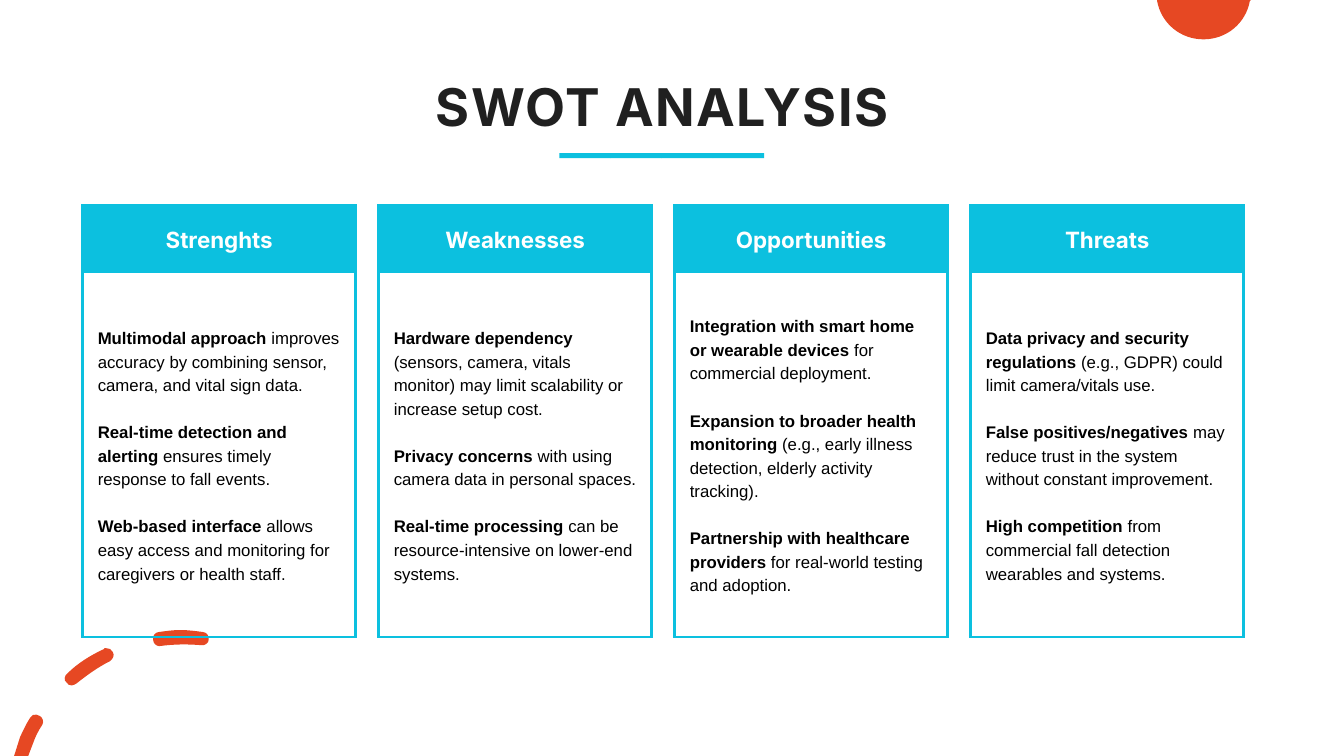
from dataclasses import dataclass

from pptx import Presentation, util as u
from pptx.dml.color import RGBColor
from pptx.enum import shapes, text
from pptx.oxml import parse_xml
from pptx.oxml.ns import nsdecls, qn

PX = 9144
CYAN = RGBColor(0x0C, 0xC0, 0xDF)
ORANGE = RGBColor(0xE6, 0x48, 0x23)
INK = RGBColor(0x20, 0x20, 0x20)
BLACK = RGBColor(0, 0, 0)
WHITE = RGBColor(255, 255, 255)


@dataclass(frozen=True)
class Point:
    lead: str
    rest: str


@dataclass(frozen=True)
class Card:
    head: str
    points: tuple[Point, ...]


@dataclass(frozen=True)
class Contour:
    start: tuple[int, int]
    steps: tuple[tuple[int, ...], ...]


CARDS = (
    Card("Strenghts", (
        Point("Multimodal approach", " improves accuracy by combining sensor, camera, and vital sign data."),
        Point("Real-time detection and alerting", " ensures timely response to fall events."),
        Point("Web-based interface", " allows easy access and monitoring for caregivers or health staff."),
    )),
    Card("Weaknesses", (
        Point("Hardware dependency", " (sensors, camera, vitals monitor) may limit scalability or increase setup cost."),
        Point("Privacy concerns", " with using camera data in personal spaces."),
        Point("Real-time processing", " can be resource-intensive on lower-end systems."),
    )),
    Card("Opportunities", (
        Point("Integration with smart home or wearable devices", " for commercial deployment."),
        Point("Expansion to broader health monitoring",
              " (e.g., early illness detection, elderly activity tracking)."),
        Point("Partnership with healthcare providers", " for real-world testing and adoption."),
    )),
    Card("Threats", (
        Point("Data privacy and security regulations", " (e.g., GDPR) could limit camera/vitals use."),
        Point("False positives/negatives", " may reduce trust in the system without constant improvement."),
        Point("High competition", " from commercial fall detection wearables and systems."),
    )),
)

DISC = (
    Contour((1148, 0), ((1241, 0), (1240, 1), (1236, 23, 1217, 39, 1194, 39),
                        (1171, 39, 1152, 23, 1148, 1))),
)
DASHES = (
    Contour((36, 709), ((34, 708, 31, 710, 30, 712), (26, 718, 23, 725, 20, 731),
                        (14, 750), (28, 750), (33, 737), (35, 731, 38, 725, 42, 719),
                        (44, 716, 42, 711, 39, 710), (38, 709, 37, 709, 36, 709))),
    Contour((105, 643), ((104, 643, 103, 643, 103, 644), (90, 650, 77, 658, 67, 668),
                         (64, 670, 63, 675, 66, 677), (67, 679, 69, 680, 71, 680),
                         (73, 680, 74, 679, 76, 678), (86, 670, 97, 662, 109, 656),
                         (112, 654, 114, 650, 112, 647), (111, 644, 108, 643, 105, 643))),
    Contour((179, 625), ((172, 625, 165, 626, 158, 627), (154, 627, 151, 631, 152, 635),
                         (152, 638, 155, 641, 158, 641), (173, 639, 186, 639, 199, 640),
                         (203, 641, 207, 638, 207, 635), (208, 631, 205, 627, 201, 627),
                         (194, 626, 186, 625, 179, 625))),
)


def px(n: float) -> u.Emu:
    return u.Emu(round(n * PX))


def paint(shape, color: RGBColor) -> None:
    shape.fill.solid()
    shape.fill.fore_color.rgb = color
    shape.line.fill.background()
    shape.shadow.inherit = False


def bend(shape, steps: list[tuple[int, ...]]) -> None:
    lines = list(shape._element.iter(qn("a:lnTo")))
    for line, step in zip(lines, steps):
        if len(step) == 2:
            continue
        dots = "".join(
            f'<a:pt x="{px(x) - shape.left}" y="{px(y) - shape.top}"/>'
            for x, y in zip(step[::2], step[1::2]))
        curve = parse_xml(f'<a:cubicBezTo {nsdecls("a")}>{dots}</a:cubicBezTo>')
        line.getparent().replace(line, curve)


def draw(slide, outline: tuple[Contour, ...]) -> None:
    pen = None
    for contour in outline:
        x, y = map(px, contour.start)
        if pen is None:
            pen = slide.shapes.build_freeform(x, y)
        else:
            pen.move_to(x, y)
        pen.add_line_segments([tuple(map(px, step[-2:])) for step in contour.steps], close=True)
    shape = pen.convert_to_shape()
    bend(shape, [step for contour in outline for step in contour.steps])
    paint(shape, ORANGE)


def style(para, name: str, size: float, color: RGBColor, pitch: float) -> None:
    para.font.name = name
    para.font.size = u.Pt(size)
    para.font.color.rgb = color
    para.line_spacing = u.Pt(pitch)


def frame(cell, inset: int) -> None:
    cell.margin_left = cell.margin_right = px(inset)
    cell.margin_top = cell.margin_bottom = px(inset)
    cell.vertical_anchor = text.MSO_ANCHOR.MIDDLE
    props = cell._tc.get_or_add_tcPr()
    for side in "LRTB":
        props.append(parse_xml(
            f'<a:ln{side} {nsdecls("a")} w="{u.Pt(2.25)}"><a:solidFill>'
            f'<a:srgbClr val="{CYAN}"/></a:solidFill></a:ln{side}>'))


def title(slide) -> None:
    box = slide.shapes.add_textbox(px(396), px(79), px(522), px(58)).text_frame
    box.word_wrap = True
    box.auto_size = text.MSO_AUTO_SIZE.SHAPE_TO_FIT_TEXT
    box.margin_left = box.margin_right = box.margin_top = box.margin_bottom = 0
    para = box.paragraphs[0]
    para.alignment = text.PP_ALIGN.CENTER
    style(para, "Inter", 37.1, INK, 40.8)
    para.font.bold = True
    run = para.add_run()
    run.text = "SWOT ANALYSIS"
    run._r.get_or_add_rPr().set("spc", "110")


def rule(slide) -> None:
    for i in range(4):
        bar = slide.shapes.add_shape(
            shapes.MSO_SHAPE.RECTANGLE, px(555 + 203 * i / 4), px(152), px(51), px(5))
        paint(bar, CYAN)


def panel(slide, card: Card, left: float) -> None:
    grid = slide.shapes.add_table(2, 1, px(left), px(204), px(271), px(428)).table
    grid.first_row = grid.horz_banding = False
    for row, tall in zip(grid.rows, (65, 363)):
        row.height = px(tall)
    head, body = grid.cell(0, 0), grid.cell(1, 0)
    frame(head, 8)
    head.fill.solid()
    head.fill.fore_color.rgb = CYAN
    para = head.text_frame.paragraphs[0]
    para.alignment = text.PP_ALIGN.CENTER
    style(para, "Inter", 16, WHITE, 22.4)
    para.font.bold = True
    para.add_run().text = card.head
    frame(body, 15)
    body.fill.background()
    for i, point in enumerate(card.points):
        para = body.text_frame.add_paragraph() if i else body.text_frame.paragraphs[0]
        style(para, "Arial", 12, BLACK, 16.8)
        if i:
            para.space_before = u.Pt(16.8)
        for words, bold in ((point.lead, True), (point.rest, False)):
            run = para.add_run()
            run.text = words
            run.font.bold = bold


def main() -> None:
    deck = Presentation()
    deck.slide_width, deck.slide_height = px(4000 / 3), px(750)
    slide = deck.slides.add_slide(deck.slide_layouts[6])
    draw(slide, DISC)
    draw(slide, DASHES)
    rule(slide)
    title(slide)
    for i, card in enumerate(CARDS):
        panel(slide, card, 82 + 881 * i / 3)
    deck.save("out.pptx")


if __name__ == "__main__":
    main()
